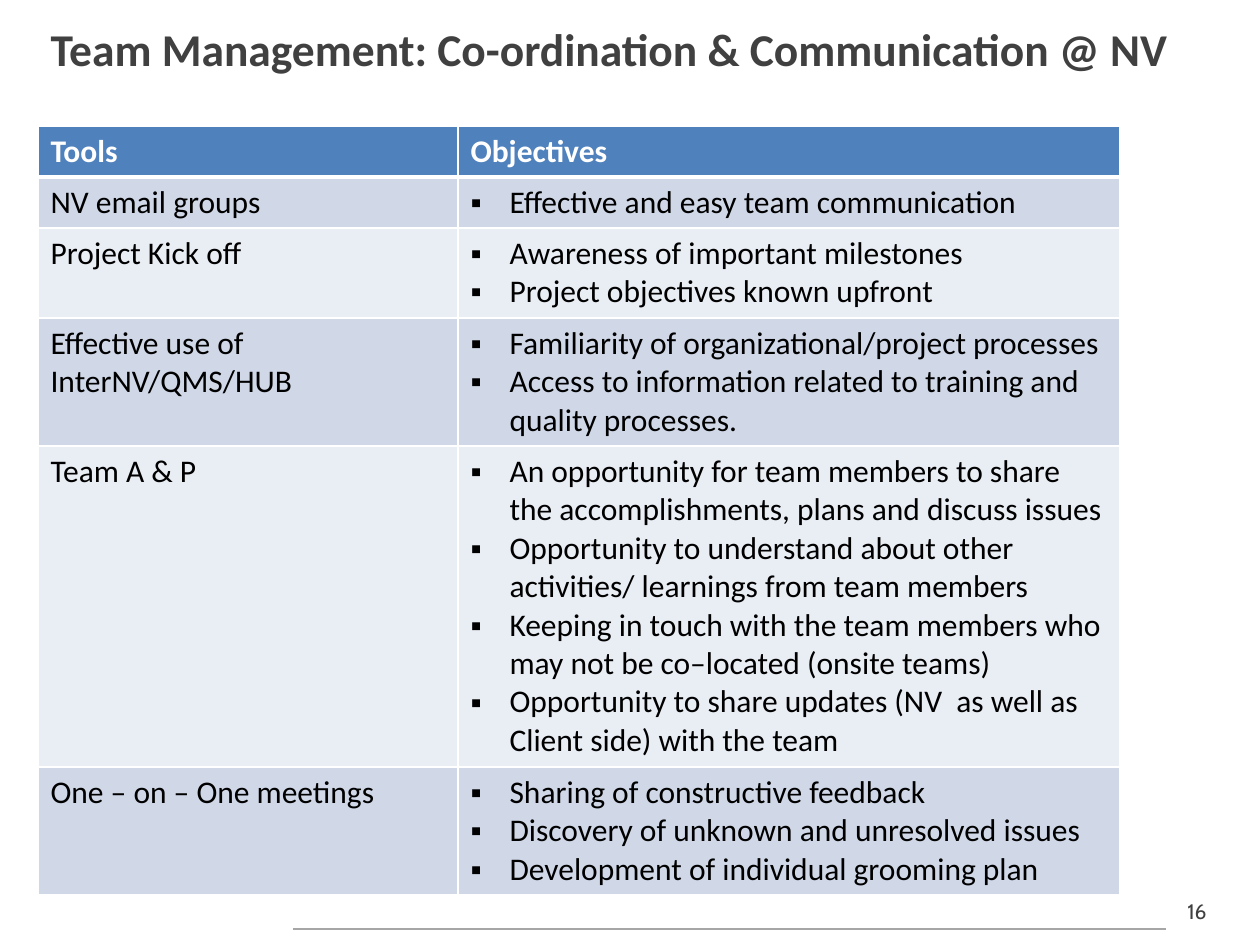
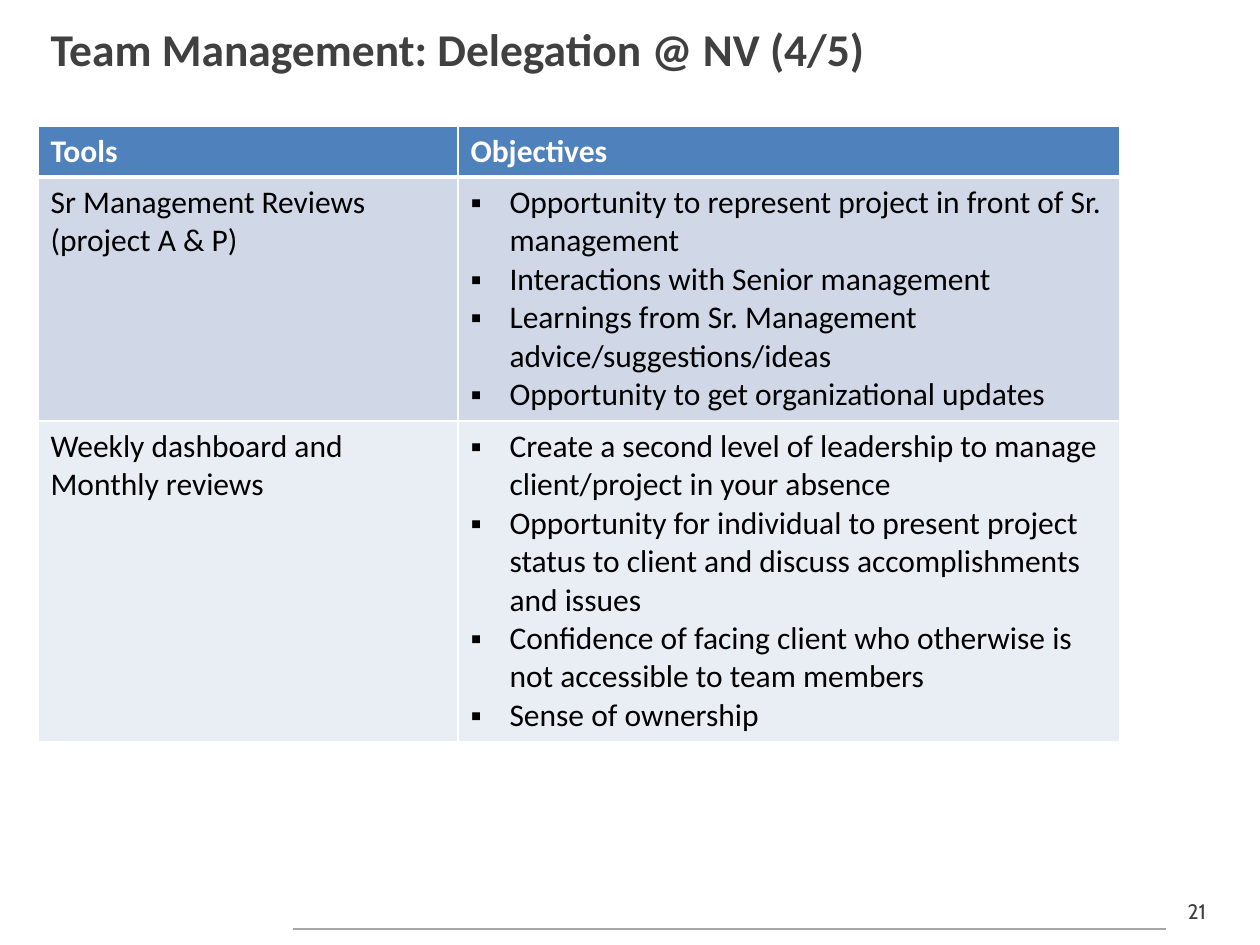
from dataclasses import dataclass

from lxml import etree
from pptx import Presentation, util as u
from pptx.dml.color import RGBColor
from pptx.enum import shapes, text
from pptx.oxml import ns

PX_PER_INCH = 126


@dataclass(frozen=True)
class Theme:
    font: str = "Calibri"
    number_font: str = "Cabin"
    ink: str = "404040"
    body: str = "000000"
    white: str = "FFFFFF"
    header: str = "4F81BD"
    bands: tuple = ("D0D8E8", "E9EDF4")
    rule: str = "A6A6A6"
    title_size: int = 26
    table_size: int = 18
    number_size: int = 12


THEME = Theme()
TITLE_BOX = (38, 15, 1180, 79)
TABLE_BOX = (38, 126, 1082)
FOOTER_BOX = (293, 892, 935, 37)
TOOLS_WIDTH = 420
NUMBER_WIDTH = 62
ROW_PADDING, TWO_LINES_HEIGHT = 13, 77
BULLET_INDENT = 39
HEADINGS = ("Tools", "Objectives")

# Each row: tool, its objectives, number of text lines the row takes
COORDINATION = [
    ("NV email groups", ["Effective and easy team communication"], 1),
    ("Project Kick off", [
        "Awareness of important milestones",
        "Project objectives known upfront"], 2),
    ("Effective use of InterNV/QMS/HUB", [
        "Familiarity of organizational/project processes",
        "Access to information related to training and quality processes."], 3),
    ("Team A & P", [
        "An opportunity for team members to share the accomplishments, plans and discuss issues",
        "Opportunity to understand about other activities/ learnings from team members",
        "Keeping in touch with the team members who may not be co–located (onsite teams)",
        "Opportunity to share updates (NV  as well as Client side) with the team"], 8),
    ("One – on – One meetings", [
        "Sharing of constructive feedback",
        "Discovery of unknown and unresolved issues",
        "Development of individual grooming plan"], 3),
]
DELEGATION = [
    ("Sr Management Reviews (project A & P)", [
        "Opportunity to represent project in front of Sr. management",
        "Interactions with Senior management",
        "Learnings from Sr. Management advice/suggestions/ideas",
        "Opportunity to get organizational updates"], 6),
    ("Weekly dashboard and Monthly reviews", [
        "Create a second level of leadership to manage client/project in your absence",
        "Opportunity for individual to present project status to client and discuss "
        "accomplishments and issues",
        "Confidence of facing client who otherwise is not accessible to team members",
        "Sense of ownership"], 8),
]


def px(length):
    return u.Emu(round(length * u.Inches(1) / PX_PER_INCH))


def color(code):
    return RGBColor.from_string(code)


def row_height(lines):
    return ROW_PADDING + TWO_LINES_HEIGHT * lines // 2


def add_bullet(paragraph):
    properties = paragraph._p.get_or_add_pPr()
    properties.set("marL", str(px(BULLET_INDENT)))
    properties.set("indent", str(-px(BULLET_INDENT)))
    etree.SubElement(properties, ns.qn("a:buFont"), typeface="Arial")
    etree.SubElement(properties, ns.qn("a:buChar"), char="▪")


def write(frame, lines, *, size, ink, font=THEME.font, bold=False,
          align=text.PP_ALIGN.LEFT, bullets=False):
    """Fill a text frame with one paragraph per line."""
    frame.word_wrap = True
    for index, line in enumerate(lines):
        paragraph = frame.add_paragraph() if index else frame.paragraphs[0]
        if bullets:
            add_bullet(paragraph)
        paragraph.alignment = align
        run = paragraph.add_run()
        run.text = line
        run.font.name = font
        run.font.size = u.Pt(size)
        run.font.bold = bold
        run.font.color.rgb = color(ink)


def set_borders(cell, top=1, bottom=1):
    """Draw white cell edges; top and bottom widths are in points."""
    properties = cell._tc.get_or_add_tcPr()
    widths = {"lnL": 1, "lnR": 1, "lnT": top, "lnB": bottom}
    for position, (edge, width) in enumerate(widths.items()):
        line = etree.Element(ns.qn(f"a:{edge}"), w=str(u.Pt(width)))
        fill = etree.SubElement(line, ns.qn("a:solidFill"))
        etree.SubElement(fill, ns.qn("a:srgbClr"), val=THEME.white)
        properties.insert(position, line)


def place_title(slide, box, wording):
    title = slide.shapes.title
    title.left, title.top, title.width, title.height = map(px, box)
    frame = title.text_frame
    frame.vertical_anchor = text.MSO_ANCHOR.TOP
    frame.auto_size = text.MSO_AUTO_SIZE.NONE
    write(frame, [wording], size=THEME.title_size, ink=THEME.ink, bold=True)


def place_footer(slide, box, number):
    """Draw the rule along the bottom of the box and the page number at its right."""
    left, top, width, height = box
    rule_end, bottom = left + width - NUMBER_WIDTH, top + height
    rule = slide.shapes.add_connector(
        shapes.MSO_CONNECTOR.STRAIGHT, px(left), px(bottom), px(rule_end), px(bottom))
    rule.line.color.rgb = color(THEME.rule)
    rule.line.width = u.Pt(0.75)
    etree.SubElement(rule._element.spPr, ns.qn("a:effectLst"))
    page = slide.shapes.add_textbox(px(rule_end), px(top), px(NUMBER_WIDTH), px(height))
    write(page.text_frame, [str(number)], size=THEME.number_size, ink=THEME.ink,
          font=THEME.number_font, align=text.PP_ALIGN.CENTER)


def fill_cell(cell, lines, fill, *, top=1, bottom=1, **style):
    cell.fill.solid()
    cell.fill.fore_color.rgb = color(fill)
    set_borders(cell, top, bottom)
    write(cell.text_frame, lines, size=THEME.table_size, **style)


def place_tools_table(slide, box, tools):
    left, top, width = box
    heights = [row_height(lines) for lines in (1, *(tool[2] for tool in tools))]
    table = slide.shapes.add_table(
        len(heights), 2, px(left), px(top), px(width), px(sum(heights))).table
    table.horz_banding = False
    for column, column_width in zip(table.columns, (TOOLS_WIDTH, width - TOOLS_WIDTH)):
        column.width = px(column_width)
    for row, height in zip(table.rows, heights):
        row.height = px(height)
    for column, heading in enumerate(HEADINGS):
        fill_cell(table.cell(0, column), [heading], THEME.header, bottom=3,
                  ink=THEME.white, bold=True)
    for row, (tool, objectives, _) in enumerate(tools, start=1):
        band = THEME.bands[(row - 1) % 2]
        top_edge = 3 if row == 1 else 1
        fill_cell(table.cell(row, 0), [tool], band, top=top_edge, ink=THEME.body)
        fill_cell(table.cell(row, 1), objectives, band, top=top_edge, ink=THEME.body,
                  bullets=True)


def add_tools_slide(deck, title, tools, number):
    slide = deck.slides.add_slide(deck.slide_layouts.get_by_name("Title Only"))
    place_footer(slide, FOOTER_BOX, number)
    place_title(slide, TITLE_BOX, title)
    place_tools_table(slide, TABLE_BOX, tools)


def main():
    deck = Presentation()
    deck.slide_width, deck.slide_height = px(1260), px(945)
    add_tools_slide(deck, "Team Management: Co-ordination & Communication @ NV",
                    COORDINATION, 16)
    add_tools_slide(deck, "Team Management: Delegation @ NV (4/5)", DELEGATION, 21)
    deck.save("out.pptx")


if __name__ == "__main__":
    main()
